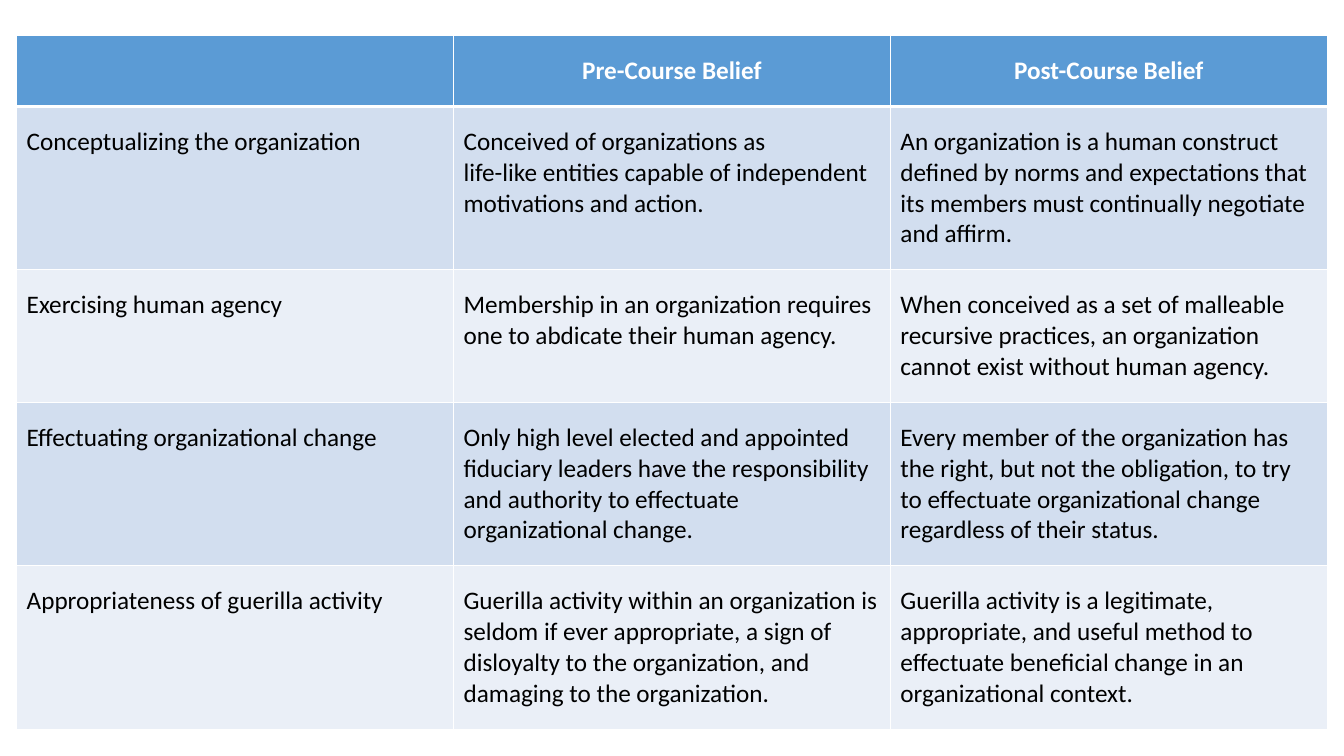
"""Build a slide with a table comparing beliefs before and after a course."""
from lxml.etree import SubElement
from pptx import Presentation
from pptx.dml.color import RGBColor
from pptx.enum.text import PP_ALIGN
from pptx.oxml.ns import qn
from pptx.util import Inches, Pt

THEME = {
    "font": "Calibri",
    "size": Pt(18),
    "header_fill": "5B9BD5",
    "bands": ("D2DEEF", "EAEFF7"),
    "header_text": "FFFFFF",
    "body_text": "000000",
    "rule": "FFFFFF",
    "thin": Pt(1),
    "thick": Pt(3),
}

BELIEFS = [
    ("", "Pre-Course Belief", "Post-Course Belief"),
    ("Conceptualizing the organization",
     "Conceived of organizations as\vlife-like entities capable of independent motivations and action.",
     "An organization is a human construct defined by norms and expectations that its members "
     "must continually negotiate and affirm."),
    ("Exercising human agency",
     "Membership in an organization requires one to abdicate their human agency.",
     "When conceived as a set of malleable recursive practices, an organization cannot exist "
     "without human agency."),
    ("Effectuating organizational change",
     "Only high level elected and appointed fiduciary leaders have the responsibility and "
     "authority to effectuate organizational change.",
     "Every member of the organization has the right, but not the obligation, to try to "
     "effectuate organizational change regardless of their status."),
    ("Appropriateness of guerilla activity",
     "Guerilla activity within an organization is seldom if ever appropriate, a sign of "
     "disloyalty to the organization, and damaging to the organization.",
     "Guerilla activity is a legitimate, appropriate, and useful method to effectuate "
     "beneficial change in an organizational context."),
]
LINES_PER_ROW = (1, 4, 3, 4, 4)
LINE_HEIGHT = Inches(0.305)
SIDE_INSET, END_INSET = Inches(0.1), Inches(0.2)


def add_border(cell, side, width):
    """Draw one solid edge of a cell."""
    edge = SubElement(cell._tc.get_or_add_tcPr(), qn(f"a:ln{side}"), w=str(width))
    SubElement(SubElement(edge, qn("a:solidFill")), qn("a:srgbClr"), val=THEME["rule"])


presentation = Presentation()
presentation.slide_width, presentation.slide_height = Inches(13.33), Inches(7.5)
slide = presentation.slides.add_slide(presentation.slide_layouts[6])

row_heights = [2 * END_INSET + lines * LINE_HEIGHT for lines in LINES_PER_ROW]
table_width = Inches(13)
comparison = slide.shapes.add_table(
    len(BELIEFS), len(BELIEFS[0]),
    (presentation.slide_width - table_width) // 2, Inches(0.35),
    table_width, sum(row_heights),
).table

for column in comparison.columns:
    column.width = table_width // len(BELIEFS[0])

for row, (beliefs, height) in enumerate(zip(BELIEFS, row_heights)):
    comparison.rows[row].height = height
    is_header = row == 0
    band = THEME["header_fill"] if is_header else THEME["bands"][(row - 1) % 2]
    ink = THEME["header_text"] if is_header else THEME["body_text"]
    for column, belief in enumerate(beliefs):
        cell = comparison.cell(row, column)
        cell.margin_left = cell.margin_right = SIDE_INSET
        cell.margin_top = cell.margin_bottom = END_INSET
        for side in "LRTB":
            under_header = (row, side) in ((0, "B"), (1, "T"))
            add_border(cell, side, THEME["thick"] if under_header else THEME["thin"])
        cell.fill.solid()
        cell.fill.fore_color.rgb = RGBColor.from_string(band)
        cell.text_frame.text = belief
        paragraph = cell.text_frame.paragraphs[0]
        paragraph.alignment = PP_ALIGN.CENTER if is_header else PP_ALIGN.LEFT
        for run in paragraph.runs:
            run.font.name = THEME["font"]
            run.font.size = THEME["size"]
            run.font.bold = is_header
            run.font.color.rgb = RGBColor.from_string(ink)

presentation.save("out.pptx")
